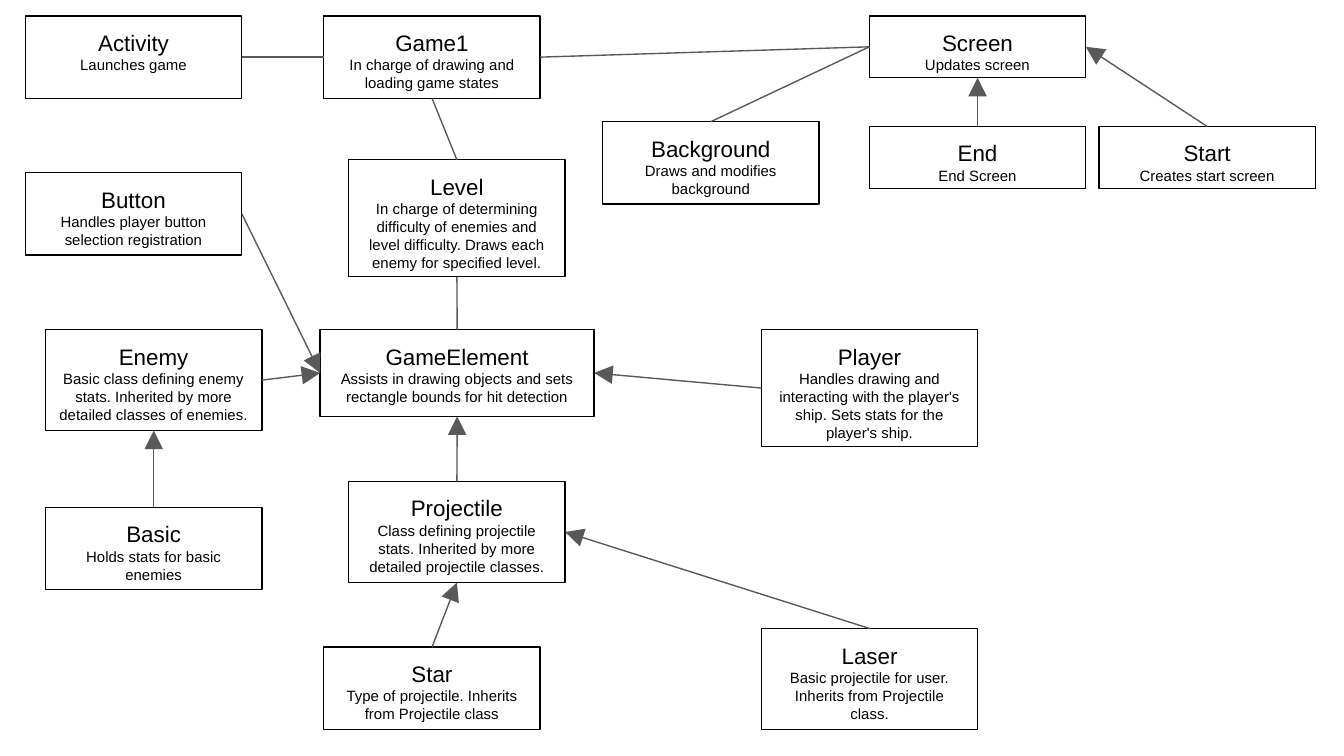
from lxml import etree
from pptx import Presentation, util as u
from pptx.dml.color import RGBColor
from pptx.enum import shapes, text
from pptx.oxml.ns import qn

BLACK = RGBColor(0x00, 0x00, 0x00)
GREY = RGBColor(0x59, 0x59, 0x59)
FONT = "Arial"
TOP, LEFT, BOTTOM, RIGHT = range(4)
WIDE = 4.09
SHORT, MID, TALL, FULL = 1.17, 1.56, 1.91, 2.21

# name, left, top, width, height in cm, then the class's role
BOXES = [
    ("Game1", 6.12, 0.3, WIDE, MID, "In charge of drawing and loading game states"),
    ("GameElement", 6.05, 6.23, 5.18, 1.64,
     "Assists in drawing objects and sets rectangle bounds for hit detection"),
    ("Enemy", 0.86, 6.23, WIDE, TALL,
     "Basic class defining enemy stats. Inherited by more detailed classes of enemies."),
    ("Basic", 0.86, 9.59, WIDE, MID, "Holds stats for basic enemies"),
    ("Start", 20.77, 2.39, WIDE, SHORT, "Creates start screen"),
    ("Screen", 16.43, 0.3, WIDE, SHORT, "Updates screen"),
    ("End", 16.43, 2.39, WIDE, SHORT, "End Screen"),
    ("Background", 11.39, 2.3, WIDE, MID, "Draws and modifies background"),
    ("Player", 14.39, 6.23, WIDE, FULL,
     "Handles drawing and interacting with the player's ship. "
     "Sets stats for the player's ship."),
    ("Level", 6.59, 3.02, WIDE, FULL,
     "In charge of determining difficulty of enemies and level difficulty. "
     "Draws each enemy for specified level."),
    ("Button", 0.48, 3.26, WIDE, MID, "Handles player button selection registration"),
    ("Activity", 0.48, 0.3, WIDE, MID, "Launches game"),
    ("Star", 6.12, 12.23, WIDE, MID, "Type of projectile. Inherits from Projectile class"),
    ("Projectile", 6.59, 9.1, WIDE, TALL,
     "Class defining projectile stats. Inherited by more detailed projectile classes."),
    ("Laser", 14.39, 11.88, WIDE, TALL,
     "Basic projectile for user. Inherits from Projectile class."),
]

# from, side, to, side, arrow
LINKS = [
    ("Game1", RIGHT, "Screen", LEFT, False),
    ("End", TOP, "Screen", BOTTOM, True),
    ("Start", TOP, "Screen", RIGHT, True),
    ("Activity", RIGHT, "Game1", LEFT, False),
    ("GameElement", TOP, "Level", BOTTOM, False),
    ("Basic", TOP, "Enemy", BOTTOM, True),
    ("Star", TOP, "Projectile", BOTTOM, True),
    ("Laser", TOP, "Projectile", RIGHT, True),
    ("Background", TOP, "Screen", LEFT, False),
    ("Level", TOP, "Game1", BOTTOM, False),
    ("Player", LEFT, "GameElement", RIGHT, True),
    ("Enemy", RIGHT, "GameElement", LEFT, True),
    ("Projectile", TOP, "GameElement", BOTTOM, True),
    ("Button", RIGHT, "GameElement", LEFT, True),
]


def write(para, words, size=8, color=BLACK, align=text.PP_ALIGN.CENTER):
    para.alignment = align
    run = para.add_run()
    run.text = words
    run.font.size = u.Pt(size)
    run.font.name = FONT
    run.font.color.rgb = color


def add_box(slide, name, left, top, width, height, role):
    box = slide.shapes.add_shape(shapes.MSO_SHAPE.RECTANGLE, u.Cm(left), u.Cm(top),
                                 u.Cm(width), u.Cm(height))
    box.shadow.inherit = False
    box.fill.background()
    box.line.color.rgb = BLACK
    box.line.width = u.Pt(0.75)
    frame = box.text_frame
    frame.word_wrap = True
    frame.vertical_anchor = text.MSO_ANCHOR.TOP
    frame.margin_left = frame.margin_right = u.Cm(0.25)
    frame.margin_top = frame.margin_bottom = u.Cm(0.25)
    write(frame.paragraphs[0], name, size=12)
    write(frame.add_paragraph(), role)
    return box


def add_link(slide, start, out, end, into, arrow):
    """Join the middle of one box's side to the middle of another's."""
    link = slide.shapes.add_connector(shapes.MSO_CONNECTOR.STRAIGHT, 0, 0, 0, 0)
    link.begin_connect(start, out)
    link.end_connect(end, into)
    link.line.color.rgb = GREY
    link.line.width = u.Pt(0.75)
    if arrow:
        etree.SubElement(link.line._get_or_add_ln(), qn("a:tailEnd"),
                         type="triangle", w="lg", len="lg")
    etree.SubElement(link._element.spPr, qn("a:effectLst"))


def main():
    deck = Presentation()
    deck.slide_width, deck.slide_height = u.Cm(25.4), u.Cm(14.29)
    slide = deck.slides.add_slide(deck.slide_layouts[6])
    boxes = {row[0]: add_box(slide, *row) for row in BOXES}
    for start, out, end, into, arrow in LINKS:
        add_link(slide, boxes[start], out, boxes[end], into, arrow)
    deck.save("out.pptx")


if __name__ == "__main__":
    main()
